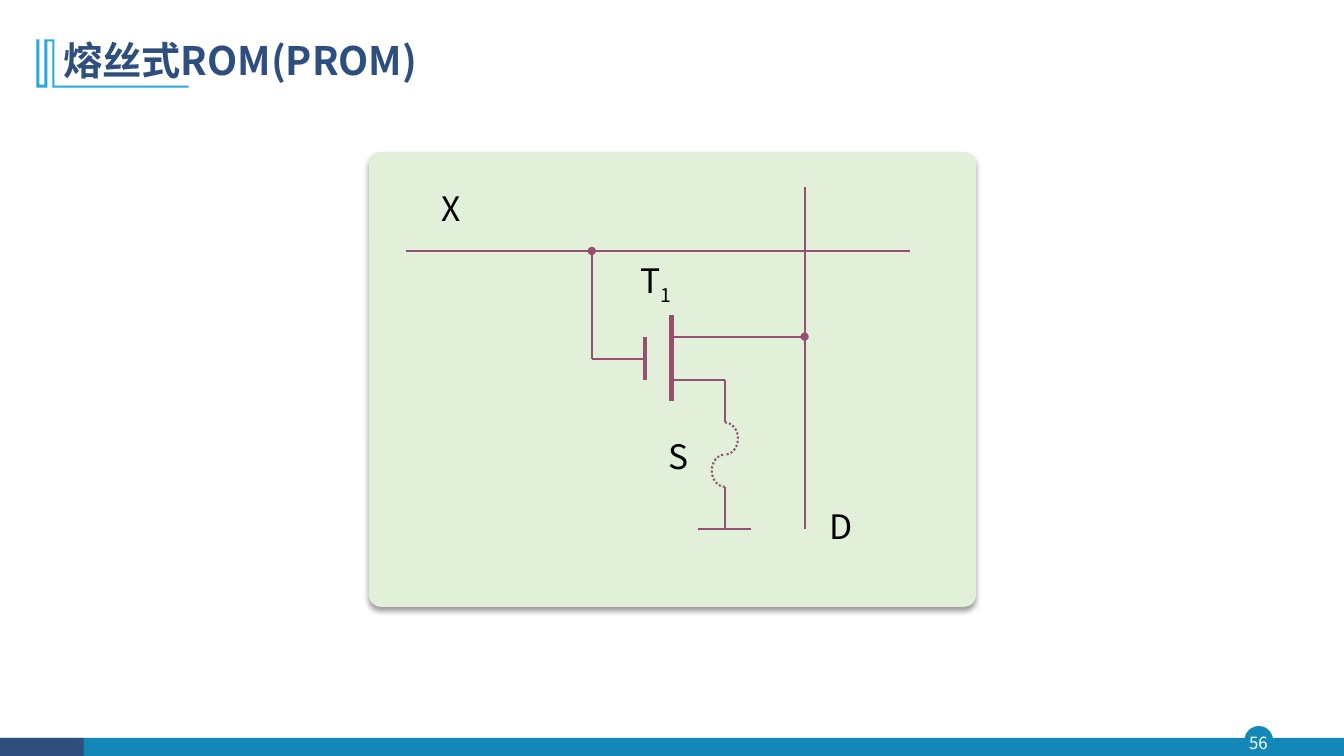
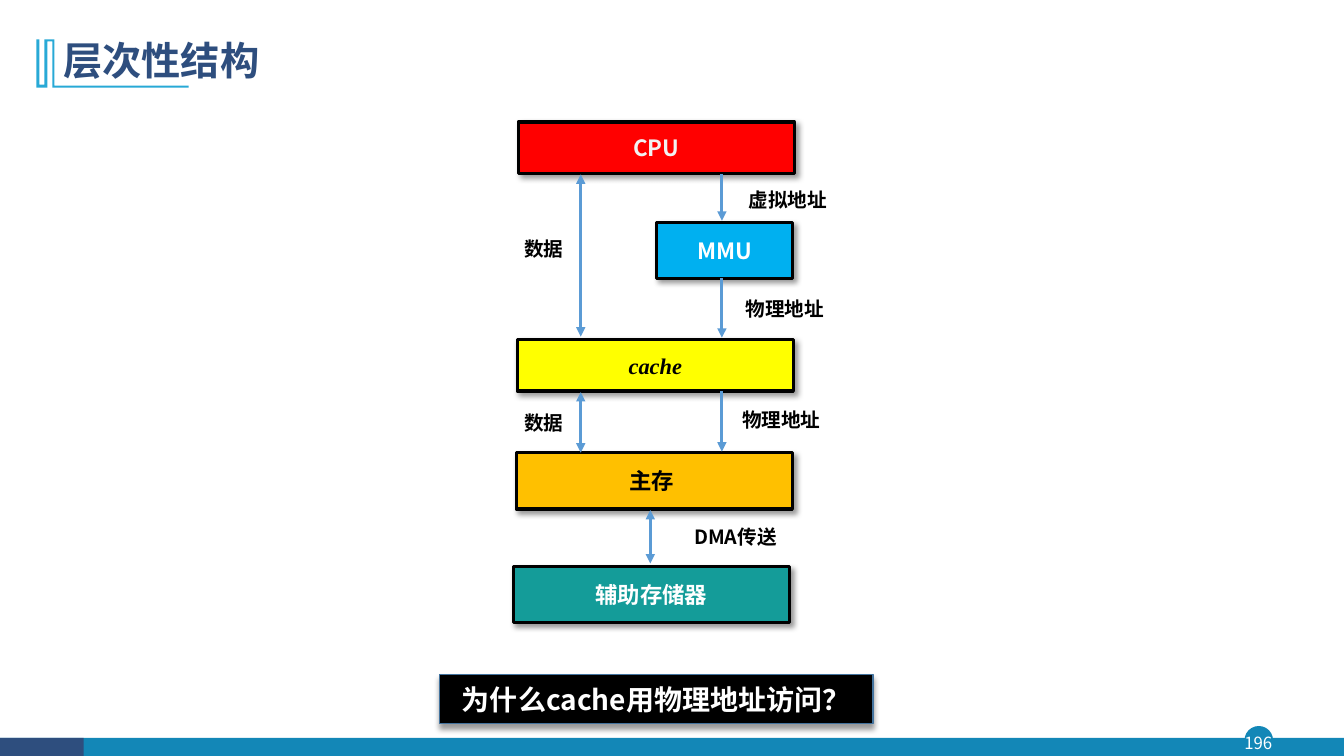
from lxml.etree import SubElement
from pptx import Presentation
from pptx.dml.color import RGBColor
from pptx.enum.dml import MSO_LINE
from pptx.enum.shapes import MSO_CONNECTOR, MSO_SHAPE
from pptx.enum.text import MSO_ANCHOR, MSO_AUTO_SIZE, PP_ALIGN
from pptx.oxml.ns import qn
from pptx.util import Inches, Pt

SANS = "Noto Sans CJK SC"
SERIF = "Times New Roman"

BLACK = RGBColor(0x00, 0x00, 0x00)
WHITE = RGBColor(0xFF, 0xFF, 0xFF)
OFF_WHITE = RGBColor(0xF2, 0xF2, 0xF2)
NAVY = RGBColor(0x2E, 0x4E, 0x7E)
BAND_BLUE = RGBColor(0x13, 0x87, 0xB7)
BRACKET_BLUE = RGBColor(0x28, 0xA9, 0xD6)
PANEL_GREEN = RGBColor(0xE2, 0xF0, 0xD9)
WIRE_PLUM = RGBColor(0x95, 0x4F, 0x72)
ARROW_BLUE = RGBColor(0x5B, 0x9B, 0xD5)
BORDER_BLUE = RGBColor(0x43, 0x73, 0x9E)
RED = RGBColor(0xFF, 0x00, 0x00)
SKY = RGBColor(0x00, 0xB0, 0xF0)
YELLOW = RGBColor(0xFF, 0xFF, 0x00)
AMBER = RGBColor(0xFF, 0xC0, 0x00)
TEAL = RGBColor(0x14, 0x9C, 0x99)

BRACKET = [(0.54, 0.39), (0.54, 0.85), (1.87, 0.85), (1.87, 0.87), (0.52, 0.87),
           (0.52, 0.41), (0.47, 0.41), (0.47, 0.87), (0.36, 0.87), (0.36, 0.39),
           (0.39, 0.39), (0.39, 0.84), (0.44, 0.84), (0.44, 0.39)]


# Shared helpers
def inches(*lengths):
    return [Inches(length) for length in lengths]


def add_run(paragraph, text, size=14, color=BLACK, font=SANS, bold=False,
            italic=False, subscript=False):
    run = paragraph.add_run()
    run.text = text
    run.font.size = Pt(size)
    run.font.name = font
    run.font.bold = bold
    run.font.italic = italic
    run.font.color.rgb = color
    properties = run.font._element
    SubElement(properties, qn("a:ea"), typeface=font)
    if subscript:
        properties.set("baseline", "-25000")


def write_text(shape, text, align=PP_ALIGN.CENTER, anchor=MSO_ANCHOR.MIDDLE,
               inset=0, wrap=True, **run_format):
    frame = shape.text_frame
    frame.auto_size = MSO_AUTO_SIZE.NONE
    frame.word_wrap = wrap
    frame.vertical_anchor = anchor
    frame.margin_left = frame.margin_right = Inches(inset)
    frame.margin_top = frame.margin_bottom = Inches(inset / 2)
    paragraph = frame.paragraphs[0]
    paragraph.alignment = align
    add_run(paragraph, text, **run_format)
    return paragraph


def add_label(slide, box, text, **text_format):
    label = slide.shapes.add_textbox(*inches(*box))
    return write_text(label, text, **text_format)


def paint(shape, fill=None, line=None, width=1, shadow_angle=None):
    shape.shadow.inherit = False
    if fill is None:
        shape.fill.background()
    else:
        shape.fill.solid()
        shape.fill.fore_color.rgb = fill
    if line is None:
        shape.line.fill.background()
    else:
        shape.line.color.rgb = line
        shape.line.width = Pt(width)
    if shadow_angle is not None:
        effects = shape.element.spPr.find(qn("a:effectLst"))
        shadow = SubElement(effects, qn("a:outerShdw"), blurRad=str(Pt(4)), dist=str(Pt(3)),
                            dir=str(shadow_angle * 60000), algn="ctr", rotWithShape="0")
        color = SubElement(shadow, qn("a:srgbClr"), val=str(BLACK))
        SubElement(color, qn("a:alpha"), val="40000")


def add_block(slide, kind, box, **paint_format):
    shape = slide.shapes.add_shape(kind, *inches(*box))
    paint(shape, **paint_format)
    return shape


def add_line(slide, start, end, color, width=1.5, head=None, tail=None):
    connector = slide.shapes.add_connector(MSO_CONNECTOR.STRAIGHT, *inches(*start, *end))
    connector.line.color.rgb = color
    connector.line.width = Pt(width)
    properties = connector.element.spPr
    line = properties.find(qn("a:ln"))
    for tag, kind in (("a:headEnd", head), ("a:tailEnd", tail)):
        if kind:
            SubElement(line, qn(tag), type=kind)
    SubElement(properties, qn("a:effectLst"))


# Bottom bands, number badge and title bracket, kept on the layout
def dress_layout(slide):
    add = [
        add_block(slide, MSO_SHAPE.OVAL, (12.35, 7.21, 0.27, 0.27),
                  fill=BAND_BLUE, line=BAND_BLUE),
        add_block(slide, MSO_SHAPE.RECTANGLE, (0, 7.32, 13.33, 0.18), fill=BAND_BLUE),
        add_block(slide, MSO_SHAPE.RECTANGLE, (0, 7.32, 0.83, 0.18), fill=NAVY),
    ]
    points = [tuple(inches(*point)) for point in BRACKET]
    builder = slide.shapes.build_freeform(*points[0])
    builder.add_line_segments(points[1:], close=True)
    bracket = builder.convert_to_shape()
    paint(bracket, fill=BRACKET_BLUE)
    for shape_id, shape in enumerate(add + [bracket], start=101):
        shape.element.nvSpPr.cNvPr.id = shape_id
        slide.slide_layout.shapes.element.append(shape.element)


def start_slide(presentation, title_text, number):
    slide = presentation.slides.add_slide(presentation.slide_layouts[5])
    if len(presentation.slides) == 1:
        dress_layout(slide)
    title = slide.shapes.title
    title.left, title.top, title.width, title.height = inches(0.53, 0.28, 11.5, 0.68)
    paragraph = write_text(title, title_text, align=PP_ALIGN.LEFT, inset=0.1,
                           size=28, color=NAVY, bold=True)
    paragraph.line_spacing = 0.9
    add_label(slide, (12.32, 7.21, 0.32, 0.31), number, wrap=False, size=12, color=WHITE)
    return slide


# Fuse cell circuit, drawn relative to its panel
def draw_fuse_cell(slide, left, top, width, height):
    panel = add_block(slide, MSO_SHAPE.ROUNDED_RECTANGLE, (left, top, width, height),
                      fill=PANEL_GREEN, shadow_angle=90)
    panel.adjustments[0] = 0.026

    word_y, drain_y, source_y, ground_y = 0.98, 1.83, 2.26, 3.74
    gate_y = 2.05
    lead_x, gate_x, channel_x, fuse_x, bit_x = 2.21, 2.74, 3.0, 3.53, 4.32
    fuse_top, fuse_radius_x, fuse_radius_y = 2.68, 0.13, 0.16
    fuse_bottom = fuse_top + 4 * fuse_radius_y

    wires = [
        ((0.37, word_y), (5.37, word_y), {}),
        ((bit_x, 0.35), (bit_x, ground_y), {}),
        ((lead_x, gate_y), (lead_x, word_y), {"tail": "oval"}),
        ((lead_x, gate_y), (gate_x, gate_y), {}),
        ((channel_x, drain_y), (bit_x, drain_y), {"tail": "oval"}),
        ((channel_x, source_y), (fuse_x, source_y), {}),
        ((fuse_x, source_y), (fuse_x, fuse_top), {}),
        ((gate_x, drain_y), (gate_x, source_y), {"width": 3}),
        ((channel_x, 1.62), (channel_x, 2.47), {"width": 3}),
        ((fuse_x, fuse_bottom), (fuse_x, ground_y), {}),
        ((fuse_x - 0.27, ground_y), (fuse_x + 0.26, ground_y), {}),
    ]
    for (x1, y1), (x2, y2), wire_format in wires:
        add_line(slide, (left + x1, top + y1), (left + x2, top + y2), WIRE_PLUM, **wire_format)

    # Dotted fuse: right half circle above left half circle
    for index, (start_angle, end_angle) in enumerate([(270, 90), (90, 270)]):
        arc = add_block(slide, MSO_SHAPE.ARC,
                        (left + fuse_x - fuse_radius_x,
                         top + fuse_top + index * 2 * fuse_radius_y,
                         2 * fuse_radius_x, 2 * fuse_radius_y),
                        line=WIRE_PLUM, width=1.5)
        arc.adjustments[0] = start_angle * 0.6
        arc.adjustments[1] = end_angle * 0.6
        arc.line.dash_style = MSO_LINE.ROUND_DOT

    for text, x, y, subscript in [("X", 0.25, 0.35, ""), ("S", 2.51, 2.81, ""),
                                  ("D", 4.14, 3.51, ""), ("T", 2.34, 1.07, "1")]:
        paragraph = add_label(slide, (left + x, top + y, 0.66, 0.66), text, size=24,
                              align=PP_ALIGN.RIGHT, anchor=MSO_ANCHOR.TOP)
        if subscript:
            add_run(paragraph, subscript, size=24, subscript=True)


# Memory levels with their arrows, relative to the top left corner
def draw_hierarchy(slide, left, top):
    levels = [
        ("CPU", 0.05, 0, 2.74, 0.51, RED, {"color": OFF_WHITE}),
        ("MMU", 1.42, 1.0, 1.35, 0.55, SKY, {"color": WHITE}),
        ("cache", 0.04, 2.16, 2.74, 0.51, YELLOW, {"font": SERIF, "italic": True}),
        ("主存 ", 0.03, 3.28, 2.74, 0.56, AMBER, {}),
        ("辅助存储器", 0, 4.41, 2.74, 0.56, TEAL, {"color": WHITE}),
    ]
    for text, x, y, width, height, fill, text_format in levels:
        block = add_block(slide, MSO_SHAPE.RECTANGLE, (left + x, top + y, width, height),
                          fill=fill, line=BLACK, width=2.25, shadow_angle=45)
        write_text(block, text, size=16, bold=True, **text_format)

    data_x, address_x, transfer_x = 0.67, 2.07, 1.36
    arrows = [
        (address_x, 0.52, 0.98, None), (address_x, 1.55, 2.14, None),
        (address_x, 2.67, 3.27, None), (data_x, 0.52, 2.13, "triangle"),
        (data_x, 2.68, 3.28, "triangle"), (transfer_x, 3.85, 4.38, "triangle"),
    ]
    for x, y1, y2, head in arrows:
        add_line(slide, (left + x, top + y1), (left + x, top + y2), ARROW_BLUE,
                 width=2.25, head=head, tail="triangle")

    labels = [
        ("虚拟地址", 2.23, 0.61, 0.99), ("物理地址", 2.16, 1.69, 1.07),
        ("物理地址", 2.09, 2.79, 1.14), ("DMA传送", 1.57, 3.95, 1.27),
        ("数据", -0.05, 1.09, 0.71), ("数据", -0.05, 2.82, 0.71),
    ]
    for text, x, y, width in labels:
        add_label(slide, (left + x, top + y, width, 0.34), text, wrap=False, inset=0.1,
                  anchor=MSO_ANCHOR.TOP, bold=True)


def draw_question(slide, *box):
    banner = add_block(slide, MSO_SHAPE.RECTANGLE, box, fill=BLACK, line=BORDER_BLUE,
                       shadow_angle=90)
    write_text(banner, "为什么cache用物理地址访问？", wrap=False, size=20, color=WHITE, bold=True)


def main():
    presentation = Presentation()
    presentation.slide_width, presentation.slide_height = inches(13.33, 7.5)

    fuse_slide = start_slide(presentation, "熔丝式ROM(PROM)", "56")
    draw_fuse_cell(fuse_slide, 3.66, 1.51, 6.02, 4.51)

    hierarchy_slide = start_slide(presentation, "层次性结构", "196")
    draw_question(hierarchy_slide, 4.36, 6.69, 4.3, 0.49)
    draw_hierarchy(hierarchy_slide, 5.09, 1.21)

    presentation.save("out.pptx")


if __name__ == "__main__":
    main()
